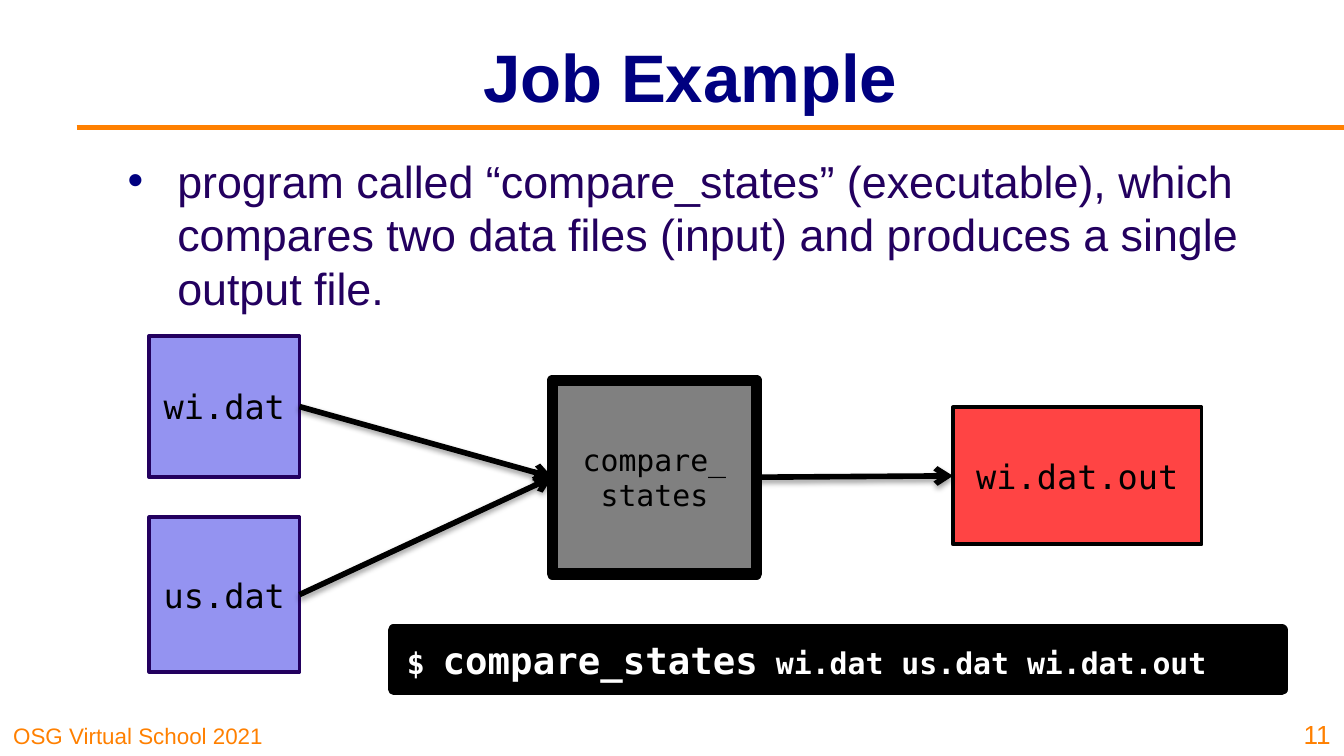
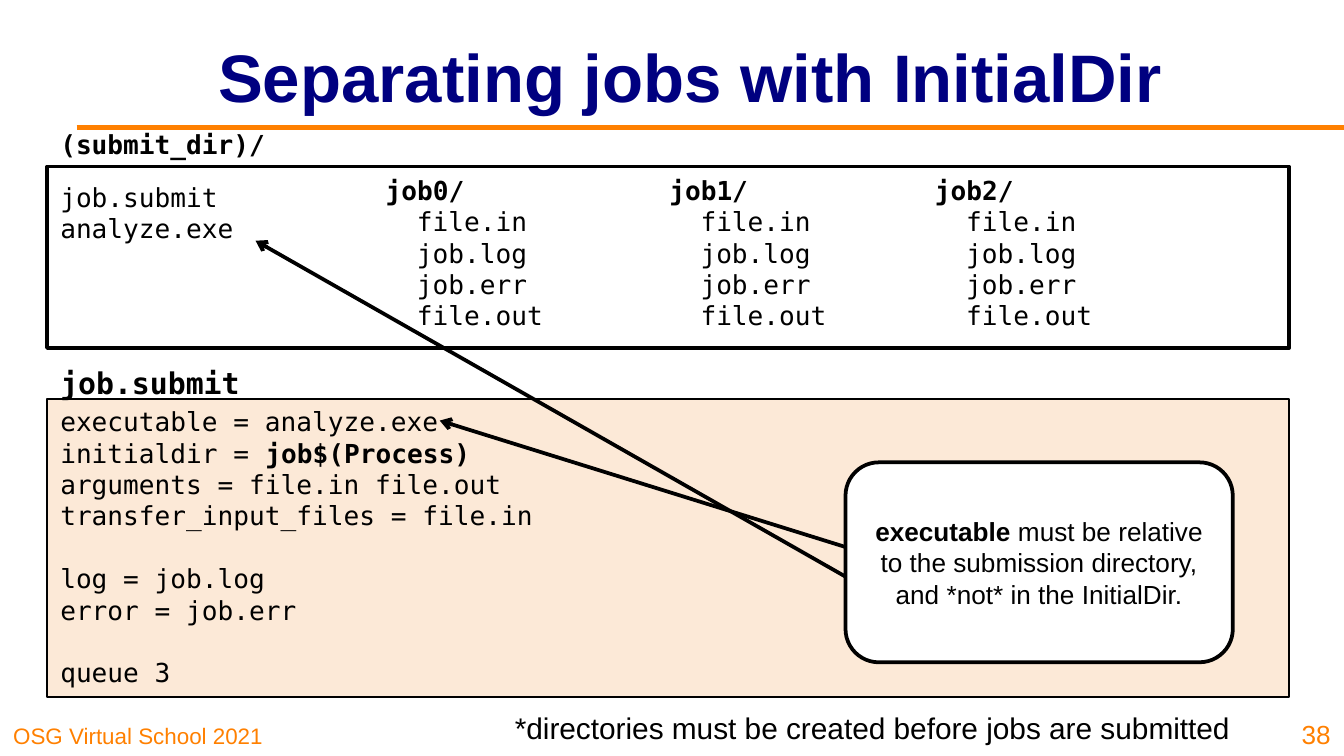
from dataclasses import dataclass
from typing import Any, NamedTuple, Optional

from lxml.etree import SubElement
from pptx import Presentation
from pptx.dml.color import RGBColor
from pptx.enum.shapes import MSO_CONNECTOR, MSO_SHAPE
from pptx.enum.text import MSO_ANCHOR as Anchor
from pptx.enum.text import MSO_AUTO_SIZE as AutoSize
from pptx.enum.text import PP_ALIGN as Align
from pptx.oxml.ns import qn
from pptx.util import Cm, Pt


@dataclass(frozen=True)
class Theme:
    sans: str = "Arial"
    mono: str = "DejaVu Sans Mono"
    orange: str = "FF8000"
    navy: str = "000080"
    violet: str = "23005F"
    lavender: str = "9493F1"
    gray: str = "808080"
    red: str = "FF4444"
    peach: str = "FCE9D7"
    black: str = "000000"
    white: str = "FFFFFF"
    title: int = 36
    body: int = 24
    command: int = 20
    node: int = 18
    note: int = 16
    code: int = 14
    footer: int = 12
    leading: float = 1.2


THEME = Theme()


class Box(NamedTuple):
    left: float
    top: float
    width: float
    height: float

    def lengths(self) -> list[Cm]:
        return [Cm(value) for value in self]


class Run(NamedTuple):
    text: str
    bold: Optional[bool] = None
    size: Optional[int] = None


class Line(NamedTuple):
    runs: list[Run]
    gap: float = 0
    indent: float = 0
    bullet: Optional[str] = None


@dataclass(frozen=True)
class Style:
    size: int
    font: str = THEME.mono
    color: str = THEME.black
    bold: bool = False
    align: Align = Align.LEFT
    anchor: Anchor = Anchor.TOP
    wrap: bool = True
    inset_top: float = 0.13


class Panel(NamedTuple):
    box: Box
    fill: str
    border: str
    weight: float
    style: Style
    lines: list[Line]
    preset: MSO_SHAPE = MSO_SHAPE.RECTANGLE


class Arrow(NamedTuple):
    start: tuple[float, float]
    end: tuple[float, float]


TITLE_BOX = Box(3.4, 0.23, 19.3, 2.39)
BODY_BOX = Box(2.16, 2.77, 21.59, 9.75)
FOOTER_BOX = Box(0, 13.49, 6.3, 0.79)
NUMBER_BOX = Box(24.23, 13.34, 1.17, 0.97)
TITLE_STYLE = Style(THEME.title, THEME.sans, THEME.navy, True, Align.CENTER, Anchor.MIDDLE)
BODY_STYLE = Style(THEME.body, THEME.sans, THEME.violet)
FOOTER_STYLE = Style(THEME.footer, THEME.sans, THEME.orange, anchor=Anchor.BOTTOM)
NUMBER_STYLE = Style(THEME.code, THEME.sans, THEME.orange, align=Align.RIGHT, anchor=Anchor.BOTTOM)
NODE_STYLE = Style(THEME.node, align=Align.CENTER, anchor=Anchor.MIDDLE, wrap=False)
PROGRAM_STYLE = Style(THEME.note, align=Align.CENTER, anchor=Anchor.MIDDLE, wrap=False)
COMMAND_STYLE = Style(THEME.note, color=THEME.white, bold=True)
CODE_STYLE = Style(THEME.code)
LISTING_STYLE = Style(THEME.code, inset_top=0.28)
FOLDER_STYLE = Style(THEME.code, anchor=Anchor.MIDDLE)
CALLOUT_STYLE = Style(THEME.code, THEME.sans, align=Align.CENTER, anchor=Anchor.MIDDLE)
NOTE_STYLE = Style(THEME.note, THEME.sans, align=Align.RIGHT)


def rgb(color: str) -> RGBColor:
    return RGBColor.from_string(color)


def assign(target: Any, values: dict[str, Any]) -> None:
    for name, value in values.items():
        setattr(target, name, value)


def plain(*texts: str) -> list[Line]:
    return [Line([Run(text)]) for text in texts]


def add_bullet(paragraph: Any, character: str) -> None:
    properties = paragraph._p.get_or_add_pPr()
    color = SubElement(properties, qn("a:buClr"))
    SubElement(color, qn("a:srgbClr"), val=THEME.navy)
    SubElement(properties, qn("a:buFont"), typeface=THEME.sans)
    SubElement(properties, qn("a:buChar"), char=character)


def write(shape: Any, lines: list[Line], style: Style) -> None:
    frame = shape.text_frame
    assign(frame, {
        "word_wrap": style.wrap, "auto_size": AutoSize.NONE, "vertical_anchor": style.anchor,
        "margin_left": Cm(0.25), "margin_right": Cm(0.25),
        "margin_top": Cm(style.inset_top), "margin_bottom": Cm(0.13),
    })
    for index, line in enumerate(lines):
        paragraph = frame.add_paragraph() if index else frame.paragraphs[0]
        largest = max(run.size or style.size for run in line.runs)
        assign(paragraph, {
            "alignment": style.align, "line_spacing": Pt(THEME.leading * largest),
            "space_before": Pt(line.gap), "space_after": Pt(0),
        })
        if line.indent:
            properties = paragraph._p.get_or_add_pPr()
            properties.set("marL", str(Cm(line.indent)))
            properties.set("indent", str(-Cm(line.indent) if line.bullet else 0))
        if line.bullet:
            add_bullet(paragraph, line.bullet)
        for part in line.runs:
            run = paragraph.add_run()
            run.text = part.text
            assign(run.font, {
                "name": style.font, "size": Pt(part.size or style.size),
                "bold": style.bold if part.bold is None else part.bold,
            })
            run.font.color.rgb = rgb(style.color)


def place(shape: Any, box: Box) -> None:
    assign(shape, dict(zip(("left", "top", "width", "height"), box.lengths())))


def add_text(slide: Any, box: Box, lines: list[Line], style: Style) -> None:
    write(slide.shapes.add_textbox(*box.lengths()), lines, style)


def add_panel(slide: Any, panel: Panel) -> Any:
    shape = slide.shapes.add_shape(panel.preset, *panel.box.lengths())
    shape.shadow.inherit = False
    shape.fill.solid()
    shape.fill.fore_color.rgb = rgb(panel.fill)
    shape.line.color.rgb = rgb(panel.border)
    shape.line.width = Pt(panel.weight)
    write(shape, panel.lines, panel.style)
    return shape


def add_line(slide: Any, line: Arrow, color: str, weight: float,
             arrow: bool = True, shadow: bool = False) -> Any:
    points = [Cm(value) for value in (*line.start, *line.end)]
    connector = slide.shapes.add_connector(MSO_CONNECTOR.STRAIGHT, *points)
    connector.line.color.rgb = rgb(color)
    connector.line.width = Pt(weight)
    properties = connector.element.spPr
    if arrow:
        SubElement(properties.find(qn("a:ln")), qn("a:tailEnd"), type="arrow")
    effects = SubElement(properties, qn("a:effectLst"))
    if shadow:
        outer = SubElement(effects, qn("a:outerShdw"), blurRad=str(Pt(3.1)), dist=str(Pt(1.6)),
                           dir="5400000", rotWithShape="0")
        shade = SubElement(outer, qn("a:srgbClr"), val=THEME.black)
        SubElement(shade, qn("a:alpha"), val="38000")
    return connector


def join(slide: Any, source: Any, target: Any) -> None:
    connector = add_line(slide, Arrow((0, 0), (1, 1)), THEME.black, 3, shadow=True)
    connector.begin_connect(source, 3)
    connector.end_connect(target, 1)


def start_slide(presentation: Any, layout: int, title: str, number: int) -> Any:
    slide = presentation.slides.add_slide(presentation.slide_layouts[layout])
    place(slide.shapes.title, TITLE_BOX)
    write(slide.shapes.title, plain(title), TITLE_STYLE)
    add_text(slide, FOOTER_BOX, plain("OSG Virtual School 2021"), FOOTER_STYLE)
    add_line(slide, Arrow((1.45, 2.41), (25.4, 2.41)), THEME.orange, 3, arrow=False)
    add_text(slide, NUMBER_BOX, plain(str(number)), NUMBER_STYLE)
    return slide


def build_job_example(presentation: Any) -> None:
    slide = start_slide(presentation, 1, "Job Example", 11)
    body = slide.placeholders[1]
    place(body, BODY_BOX)
    sentence = ("program called “compare_states” (executable), which compares two data files "
                "(input) and produces a single output file.")
    write(body, [Line([Run(sentence)], indent=0.94, bullet="•")], BODY_STYLE)

    state, program, country, output = [add_panel(slide, panel) for panel in (
        Panel(Box(2.82, 6.35, 2.84, 2.67), THEME.lavender, THEME.violet, 2,
              NODE_STYLE, plain("wi.dat")),
        Panel(Box(10.44, 7.19, 3.86, 3.66), THEME.gray, THEME.black, 6,
              PROGRAM_STYLE, plain("compare_", "states")),
        Panel(Box(2.82, 9.78, 2.84, 2.92), THEME.lavender, THEME.violet, 2,
              NODE_STYLE, plain("us.dat")),
        Panel(Box(18.01, 7.7, 4.7, 2.59), THEME.red, THEME.black, 2,
              NODE_STYLE, plain("wi.dat.out")),
    )]
    for source, target in ((country, program), (program, output), (state, program)):
        join(slide, source, target)

    command = Line([Run("$ "), Run("compare_states", size=THEME.command),
                    Run(" wi.dat us.dat wi.dat.out")])
    add_panel(slide, Panel(Box(7.44, 11.91, 16.79, 1.12), THEME.black, THEME.black, 6,
                           COMMAND_STYLE, [command]))


def build_initial_dir(presentation: Any) -> None:
    slide = start_slide(presentation, 5, "Separating jobs with InitialDir", 38)
    blank_line = THEME.leading * THEME.code
    submit_lines = [
        *plain("executable = analyze.exe"),
        Line([Run("initialdir = "), Run("job$(Process)", True)]),
        *plain("arguments = file.in file.out", "transfer_input_files = file.in"),
        Line([Run("log = job.log")], gap=blank_line),
        *plain("error = job.err"),
        Line([Run("queue 3")], gap=blank_line),
    ]
    add_panel(slide, Panel(Box(0.89, 7.54, 23.47, 5.64), THEME.peach, THEME.black, 0.75,
                           CODE_STYLE, submit_lines))
    add_panel(slide, Panel(Box(0.89, 3.15, 23.47, 3.43), THEME.white, THEME.black, 2,
                           LISTING_STYLE, plain("job.submit", "analyze.exe")))

    job_files = [Line([Run(name)], indent=0.59)
                 for name in ("file.in", "job.log", "job.err", "file.out")]
    for index, left in enumerate((7.04, 12.4, 17.42)):
        folder = Line([Run(f"job{index}/", True)])
        add_text(slide, Box(left, 3.02, 4.93, 3.51), [folder, *job_files], FOLDER_STYLE)

    for text, box, size in (
        ("job.submit", Box(0.89, 6.76, 3.94, 0.94), THEME.note),
        ("(submit_dir)/", Box(0.89, 2.29, 4.39, 0.86), THEME.code),
    ):
        add_text(slide, box, plain(text), Style(size, bold=True, wrap=False))

    advice = Line([Run("executable", True),
                   Run(" must be relative to the submission directory, "
                       "and *not* in the InitialDir.")])
    add_panel(slide, Panel(Box(15.98, 8.74, 7.32, 3.78), THEME.white, THEME.black, 2,
                           CALLOUT_STYLE, [advice], MSO_SHAPE.ROUNDED_RECTANGLE))
    for arrow in (Arrow((15.98, 10.34), (8.31, 7.95)), Arrow((15.98, 10.9), (4.83, 4.55))):
        add_line(slide, arrow, THEME.black, 2)
    add_text(slide, Box(6.15, 13.28, 17.35, 0.94),
             plain("*directories must be created before jobs are submitted"), NOTE_STYLE)


def main() -> None:
    presentation = Presentation()
    assign(presentation, {"slide_width": Cm(25.4), "slide_height": Cm(14.29)})
    build_job_example(presentation)
    build_initial_dir(presentation)
    presentation.save("out.pptx")


if __name__ == "__main__":
    main()
